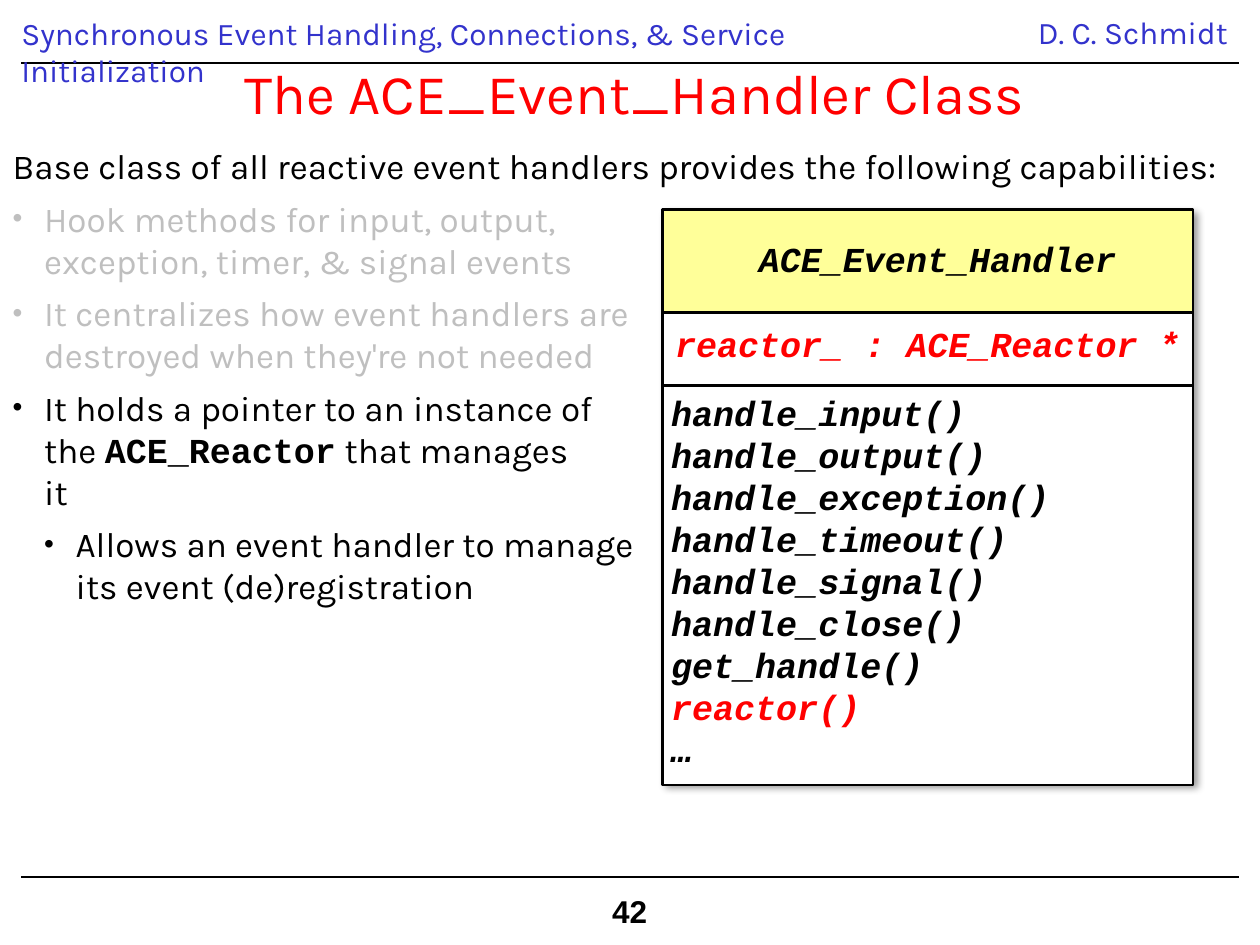
from lxml import etree
from pptx import Presentation
from pptx.dml.color import RGBColor
from pptx.enum import shapes, text
from pptx.oxml import parse_xml
from pptx.oxml.ns import nsdecls, qn
from pptx.util import Cm, Pt

INK = {"black": "000000", "white": "FFFFFF", "blue": "3333CC", "red": "FF0000",
       "gray": "BFBFBF", "yellow": "FFFF99"}
SANS, MONO = "Karla", "Courier New"
LEFT, CENTER, RIGHT = text.PP_ALIGN.LEFT, text.PP_ALIGN.CENTER, text.PP_ALIGN.RIGHT


def style(font, face, size, ink, bold=False, slant=False):
    font.name, font.size, font.bold, font.italic = face, Pt(size), bold, slant
    font.color.rgb = RGBColor.from_string(INK[ink])


def write(box, lines, face, size, ink, bold=False, slant=False, align=LEFT):
    """Fill a text box, one paragraph per line, and return its frame."""
    frame = box.text_frame
    frame.word_wrap = True
    frame.text = "\n".join(lines)
    for par in frame.paragraphs:
        par.alignment = align
        style(par.font, face, size, ink, bold, slant)
    return frame


deck = Presentation()
deck.slide_width, deck.slide_height = Cm(25.4), Cm(19.05)
slide = deck.slides.add_slide(deck.slide_layouts[1])
title, body = slide.placeholders
items = slide.shapes

# Header and footer
for y in (1.27, 17.68):
    rule = items.add_connector(shapes.MSO_CONNECTOR.STRAIGHT,
                               Cm(0.43), Cm(y), Cm(24.97), Cm(y))
    rule.line.color.rgb = RGBColor.from_string(INK["black"])
    rule.line.width = Pt(0.75)
    etree.SubElement(rule._element.spPr, qn("a:effectLst"))

page = items.add_textbox(Cm(12.09), Cm(17.86), Cm(1.3), Cm(1.02))
write(page, ["42"], "Arial", 18, "black", bold=True).word_wrap = False

author = items.add_textbox(Cm(18.62), Cm(0.23), Cm(6.38), Cm(0.94))
frame = write(author, ["D. C. Schmidt"], SANS, 18, "blue", align=RIGHT)
frame.paragraphs[0].line_spacing = 0.9

topic = items.add_textbox(Cm(0.43), Cm(0.15), Cm(18.52), Cm(1.02))
frame = write(topic, ["Synchronous Event Handling, Connections, & Service Initialization"],
              SANS, 18, "blue")
frame.margin_left = frame.margin_right = 0

# Title
title.left, title.top, title.width, title.height = Cm(1.47), Cm(0.58), Cm(22.66), Cm(2.54)
frame = write(title, ["The ACE_Event_Handler Class"], SANS, 32, "red", align=CENTER)
frame.vertical_anchor = text.MSO_ANCHOR.MIDDLE

# Capabilities: level, colour, text
points = [
    (0, "black", "Base class of all reactive event handlers provides the following capabilities:"),
    (1, "gray", "Hook methods for input, output,\vexception, timer, & signal events"),
    (1, "gray", "It centralizes how event handlers are\vdestroyed when they're not needed"),
    (1, "black", "It holds a pointer to an instance of\vthe ACE_Reactor that manages\vit"),
    (2, "black", "Allows an event handler to manage\vits event (de)registration"),
]
body.left, body.top, body.width, body.height = Cm(0), Cm(2.79), Cm(25.04), Cm(10.77)
frame = body.text_frame
frame.word_wrap = True
frame.auto_size = text.MSO_AUTO_SIZE.NONE
for i, (level, ink, words) in enumerate(points):
    par = frame.add_paragraph() if i else frame.paragraphs[0]
    par.space_before = Pt(6 if i else 0)
    props = par._p.get_or_add_pPr()
    props.set("marL", str(Cm(0.635 * level)))
    props.set("indent", str(-Cm(0.635) if level else 0))
    if level:
        etree.SubElement(props, qn("a:buSzPct"), val="80000")
        etree.SubElement(props, qn("a:buChar"), char="•")
    else:
        etree.SubElement(props, qn("a:buNone"))
    style(par.font, SANS, 20, ink)
    for n, line in enumerate(words.split("\v")):
        if n:
            par.add_line_break()
        before, name, after = line.partition("ACE_Reactor")
        for part in filter(None, (before, name, after)):
            run = par.add_run()
            run.text = part
            if part == name:
                run.font.name, run.font.bold = MONO, True

# Class diagram: top, height, fill, line width
parts = [(4.22, 11.58, "white", 0.75), (7.75, 8.08, "white", 1.5),
         (4.22, 2.13, "yellow", 1.5), (6.3, 1.47, "white", 1.5)]
for i, (top, height, fill, width) in enumerate(parts):
    box = items.add_shape(shapes.MSO_SHAPE.RECTANGLE, Cm(13.36), Cm(top), Cm(10.69), Cm(height))
    box.shadow.inherit = False
    box.fill.solid()
    box.fill.fore_color.rgb = RGBColor.from_string(INK[fill])
    box.line.color.rgb = RGBColor.from_string(INK["black"])
    box.line.width = Pt(width)
    if i == 0:
        box._element.spPr.find(qn("a:effectLst")).append(parse_xml(
            f'<a:outerShdw {nsdecls("a")} blurRad="{Pt(4)}" dist="{Pt(3)}" dir="2700000">'
            f'<a:srgbClr val="{INK["black"]}"><a:alpha val="40000"/></a:srgbClr></a:outerShdw>'))

methods = ["handle_input()", "handle_output()", "handle_exception()", "handle_timeout()",
           "handle_signal()", "handle_close()", "get_handle()", "reactor()", "…"]
calls = items.add_textbox(Cm(13.28), Cm(7.77), Cm(8.48), Cm(7.65))
frame = write(calls, methods, MONO, 20, "black", bold=True, slant=True)
own = frame.paragraphs[methods.index("reactor()")]
own.font.color.rgb = RGBColor.from_string(INK["red"])

name = items.add_textbox(Cm(14.83), Cm(4.67), Cm(8.15), Cm(1.3))
write(name, ["ACE_Event_Handler"], MONO, 20, "black", bold=True, slant=True, align=CENTER)

field = items.add_textbox(Cm(13.36), Cm(6.43), Cm(11.28), Cm(1.45))
frame = write(field, ["reactor_ : ACE_Reactor *"], MONO, 20, "red", bold=True, slant=True)
frame.paragraphs[0].line_spacing = 0.95

deck.save("out.pptx")
